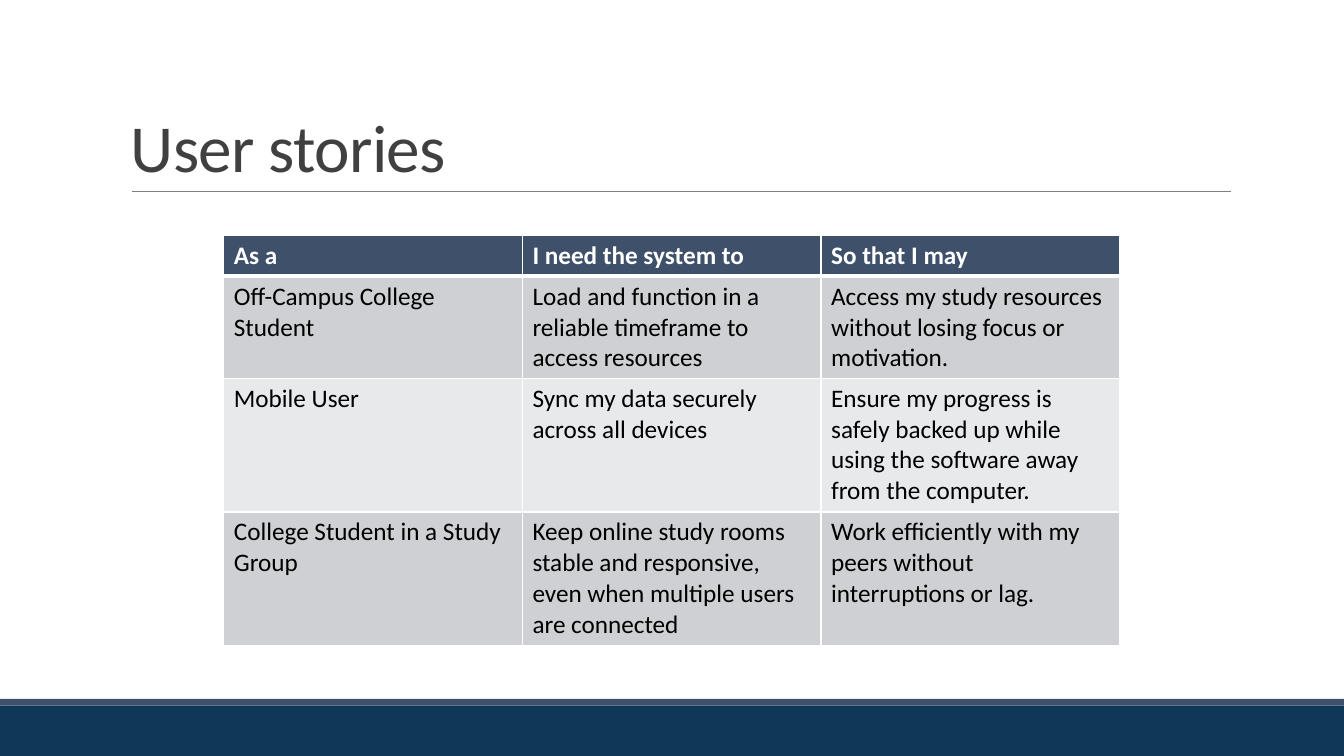
from dataclasses import dataclass
from lxml import etree
from pptx import Presentation
from pptx import util as u
from pptx.dml.color import RGBColor
from pptx.enum import shapes, text
from pptx.oxml import ns


@dataclass(frozen=True)
class Theme:
    face: str = "Calibri"
    navy: str = "0F3756"
    slate: str = "3E506A"
    rule: str = "808080"
    heading: str = "404040"
    body: str = "000000"
    white: str = "FFFFFF"
    stripes: tuple = ("CED0D4", "E8E9EB")
    title_size: int = 48
    cell_size: int = 18
    rule_width: float = 0.5
    border: int = 1
    header_border: int = 3


@dataclass(frozen=True)
class Box:
    left: float
    top: float
    width: float
    height: float

    def lengths(self):
        return [u.Cm(v) for v in (self.left, self.top, self.width, self.height)]


THEME = Theme()
PAGE = Box(0, 0, 33.87, 19.05)
HEADER = ["As a", "I need the system to", "So that I may"]
STORIES = [
    ["Off-Campus College Student",
     "Load and function in a reliable timeframe to access resources",
     "Access my study resources without losing focus or motivation."],
    ["Mobile User",
     "Sync my data securely across all devices",
     "Ensure my progress is safely backed up while using the software away from the computer."],
    ["College Student in a Study Group",
     "Keep online study rooms stable and responsive, even when multiple users are connected",
     "Work efficiently with my peers without interruptions or lag."],
]
ROW_HEIGHTS = [1.03, 2.57, 3.37, 3.37]


def apply(target, values):
    for name, value in values.items():
        setattr(target, name, value)


def write(para, words, color, **values):
    span = para.add_run()
    span.text = words
    apply(span.font, {"name": THEME.face, **values})
    span.font.color.rgb = RGBColor.from_string(color)
    return span


def paint(target, color):
    target.fill.solid()
    target.fill.fore_color.rgb = RGBColor.from_string(color)


def add_footer(page, box):
    strip_height = 0.17
    strip = Box(box.left, box.top, box.width, strip_height)
    band = Box(box.left, box.top + strip_height, box.width, box.height - strip_height)
    for part, color in ((band, THEME.navy), (strip, THEME.slate)):
        bar = page.shapes.add_shape(shapes.MSO_SHAPE.RECTANGLE, *part.lengths())
        bar.shadow.inherit = False
        bar.line.fill.background()
        paint(bar, color)


def add_title(page, box, words):
    rule_inset, rule_length = 0.28, 27.69
    bottom = u.Cm(box.top + box.height)
    start = box.left + rule_inset
    rule = page.shapes.add_connector(
        shapes.MSO_CONNECTOR.STRAIGHT,
        u.Cm(start), bottom, u.Cm(start + rule_length), bottom)
    rule.line.color.rgb = RGBColor.from_string(THEME.rule)
    rule.line.width = u.Pt(THEME.rule_width)
    etree.SubElement(rule._element.spPr, ns.qn("a:effectLst"))

    frame = page.shapes.add_textbox(*box.lengths()).text_frame
    apply(frame, {"word_wrap": True, "vertical_anchor": text.MSO_ANCHOR.BOTTOM})
    para = frame.paragraphs[0]
    para.line_spacing = 0.85
    span = write(para, words, THEME.heading, size=u.Pt(THEME.title_size))
    span.font._element.set("spc", "-50")


def add_borders(cell, widths):
    properties = cell._tc.get_or_add_tcPr()
    for index, (side, width) in enumerate(widths.items()):
        line = etree.Element(ns.qn(f"a:ln{side}"), w=str(u.Pt(width)))
        fill = etree.SubElement(line, ns.qn("a:solidFill"))
        etree.SubElement(fill, ns.qn("a:srgbClr"), val=THEME.white)
        properties.insert(index, line)


def add_stories(page, box, header, stories):
    rows = [header, *stories]
    table = page.shapes.add_table(len(rows), len(header), *box.lengths()).table
    for column in table.columns:
        column.width = u.Cm(box.width / len(header))
    for r, words_in_row in enumerate(rows):
        table.rows[r].height = u.Cm(ROW_HEIGHTS[r])
        is_header = r == 0
        fill = THEME.slate if is_header else THEME.stripes[(r - 1) % 2]
        color = THEME.white if is_header else THEME.body
        widths = dict.fromkeys("LRTB", THEME.border)
        if is_header:
            widths["B"] = THEME.header_border
        elif r == 1:
            widths["T"] = THEME.header_border
        for c, words in enumerate(words_in_row):
            cell = table.cell(r, c)
            paint(cell, fill)
            add_borders(cell, widths)
            write(cell.text_frame.paragraphs[0], words, color,
                  size=u.Pt(THEME.cell_size), bold=is_header)


def main():
    deck = Presentation()
    apply(deck, {"slide_width": u.Cm(PAGE.width), "slide_height": u.Cm(PAGE.height)})
    page = deck.slides.add_slide(deck.slide_layouts[6])
    add_footer(page, Box(0, 17.61, PAGE.width, 1.44))
    add_title(page, Box(3.05, 0.78, 27.94, 4.04), "User stories")
    add_stories(page, Box(5.64, 5.93, 22.58, sum(ROW_HEIGHTS)), HEADER, STORIES)
    deck.save("out.pptx")


if __name__ == "__main__":
    main()
